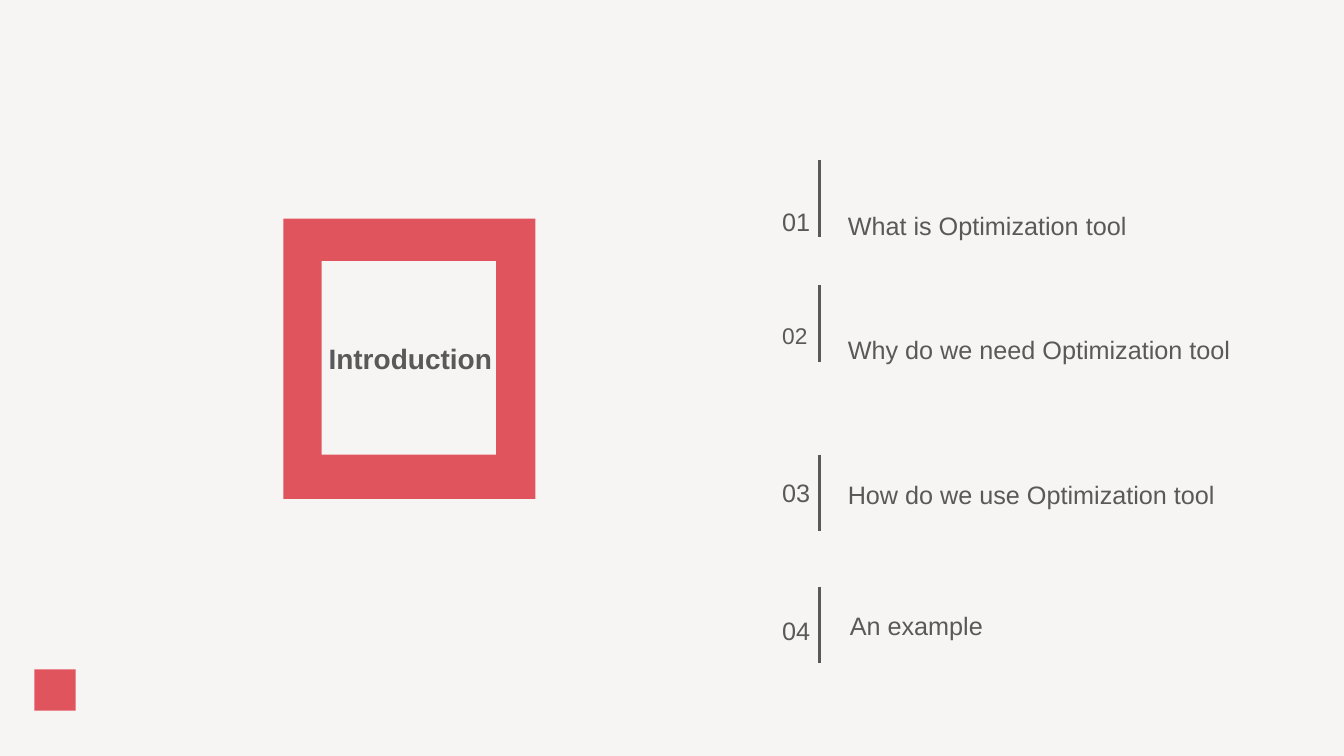
from dataclasses import dataclass

from lxml import etree
from pptx import Presentation
from pptx.dml.color import RGBColor
from pptx.enum.shapes import MSO_CONNECTOR, MSO_SHAPE
from pptx.enum.text import MSO_ANCHOR, MSO_AUTO_SIZE, PP_ALIGN
from pptx.oxml.ns import qn
from pptx.util import Inches, Pt

RECTANGLE = MSO_SHAPE.RECTANGLE
STRAIGHT = MSO_CONNECTOR.STRAIGHT
MIDDLE, BOTTOM = MSO_ANCHOR.MIDDLE, MSO_ANCHOR.BOTTOM
LEFT, CENTER = PP_ALIGN.LEFT, PP_ALIGN.CENTER
NO_AUTOFIT = MSO_AUTO_SIZE.NONE


@dataclass(frozen=True)
class Theme:
    background: RGBColor = RGBColor(0xF7, 0xF5, 0xF3)
    accent: RGBColor = RGBColor(0xE0, 0x54, 0x5D)
    text: RGBColor = RGBColor(0x59, 0x59, 0x59)
    font: str = "Arial"
    title_size: float = 20
    item_size: float = 18
    small_size: float = 16.2
    bar_width: float = 2.25


THEME = Theme()
TEXT_HEIGHT = 0.4
BAR_HEIGHT = 0.76

# fmt: off
AGENDA = [
    ("01", "What is Optimization tool", 1.59, 0.81, 0.85, 0, THEME.item_size),
    ("02", "Why do we need Optimization tool", 2.83, 0.68, 0.84, 0, THEME.small_size),
    ("03", "How do we use Optimization tool", 4.51, 0.57, 0.59, 0, THEME.item_size),
    ("04", "An example", 5.82, 0.63, 0.58, 0.02, THEME.item_size),
]
# fmt: on


def write_text(shape, text, size=THEME.item_size, bold=False, align=LEFT, anchor=BOTTOM):
    frame = shape.text_frame
    frame.word_wrap = True
    frame.auto_size = NO_AUTOFIT
    frame.vertical_anchor = anchor
    paragraph = frame.paragraphs[0]
    paragraph.alignment = align
    run = paragraph.add_run()
    run.text = text
    run.font.name = THEME.font
    run.font.size = Pt(size)
    run.font.bold = bold
    run.font.color.rgb = THEME.text


def add_text(slide, text, left, bottom, width, **text_format):
    box = slide.shapes.add_textbox(
        Inches(left), Inches(bottom - TEXT_HEIGHT), Inches(width), Inches(TEXT_HEIGHT)
    )
    write_text(box, text, **text_format)


def add_block(slide, left, top, width, height, color):
    block = slide.shapes.add_shape(
        RECTANGLE, Inches(left), Inches(top), Inches(width), Inches(height)
    )
    block.shadow.inherit = False
    block.fill.solid()
    block.fill.fore_color.rgb = color
    block.line.fill.background()


def add_bar(slide, left, top):
    bar = slide.shapes.add_connector(
        STRAIGHT, Inches(left), Inches(top), Inches(left), Inches(top + BAR_HEIGHT)
    )
    bar.line.color.rgb = THEME.text
    bar.line.width = Pt(THEME.bar_width)
    etree.SubElement(bar.element.spPr, qn("a:effectLst"))


def add_framed_title(slide, text, left, top, width, height):
    add_block(slide, left, top, width, height, THEME.accent)
    add_block(slide, left + 0.38, top + 0.42, width - 0.77, height - 0.86, THEME.background)
    title = slide.shapes.title
    title.left, title.top = Inches(left - 0.23), Inches(top + 1.1)
    title.width, title.height = Inches(width + 0.48), Inches(0.57)
    write_text(title, text, size=THEME.title_size, bold=True, align=CENTER, anchor=MIDDLE)
    title.element.getparent().append(title.element)


def add_agenda(slide, left, width):
    for number, label, top, number_drop, label_drop, indent, number_size in AGENDA:
        add_bar(slide, left + 0.47, top)
        add_text(slide, number, left, top + number_drop, 0.53, size=number_size)
        add_text(slide, label, left + 0.65 + indent, top + label_drop, width - 0.65)


def main():
    presentation = Presentation()
    presentation.slide_width = Inches(13.33)
    presentation.slide_height = Inches(7.5)
    slide = presentation.slides.add_slide(presentation.slide_layouts.get_by_name("Title Only"))
    slide.background.fill.solid()
    slide.background.fill.fore_color.rgb = THEME.background
    add_framed_title(slide, "Introduction", 2.81, 2.17, 2.5, 2.78)
    add_block(slide, 0.34, 6.64, 0.41, 0.41, THEME.accent)
    add_agenda(slide, 7.66, 5.2)
    presentation.save("out.pptx")


if __name__ == "__main__":
    main()
